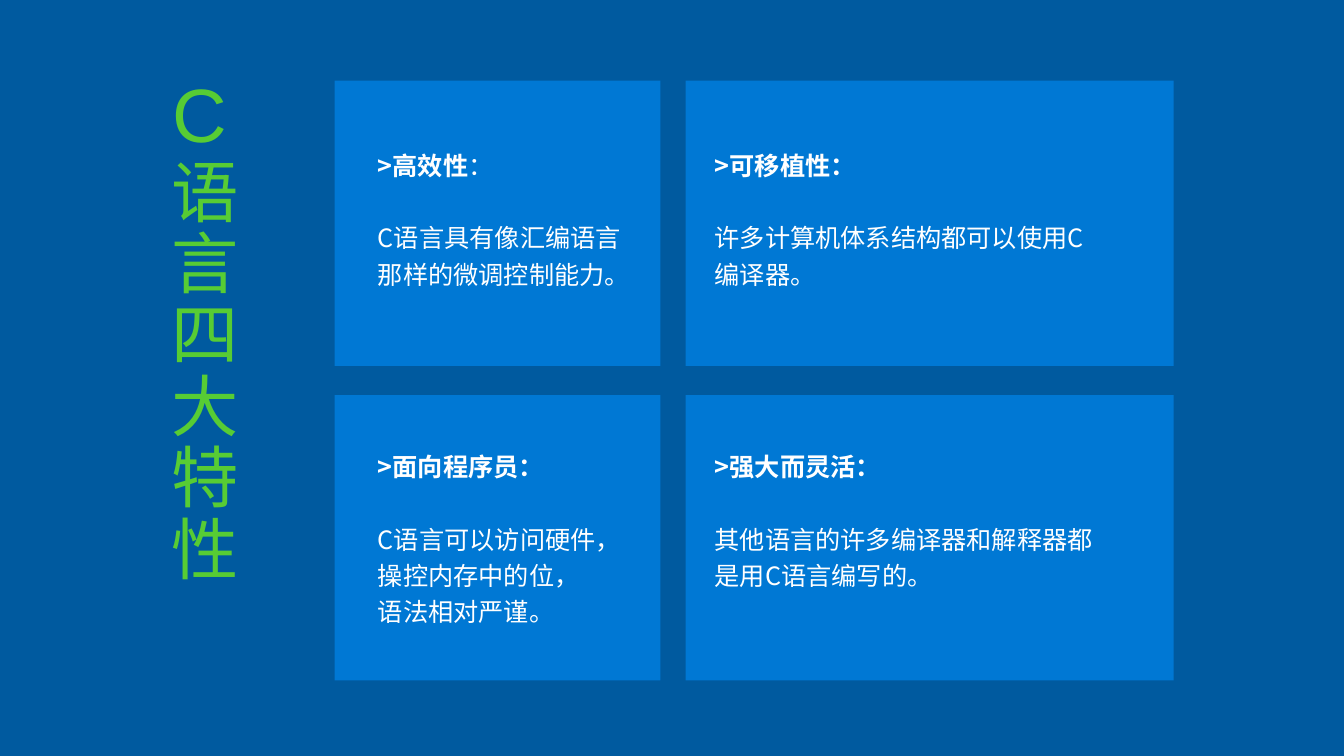
from dataclasses import dataclass

from pptx import Presentation
from pptx.dml.color import RGBColor
from pptx.enum.shapes import MSO_SHAPE
from pptx.enum.text import MSO_AUTO_SIZE
from pptx.oxml.ns import qn
from pptx.slide import Slide
from pptx.text.text import TextFrame, _Run
from pptx.util import Inches, Pt


@dataclass(frozen=True)
class Theme:
    background: RGBColor = RGBColor(0x00, 0x5A, 0x9F)
    card: RGBColor = RGBColor(0x00, 0x78, 0xD4)
    title: RGBColor = RGBColor(0x57, 0xCC, 0x34)
    text: RGBColor = RGBColor(0xFF, 0xFF, 0xFF)
    title_font: str = "Arial"
    text_font: str = "Noto Sans CJK SC"
    letter_size: int = 54
    title_size: int = 48
    text_size: int = 18
    line_spacing: float = 1.2
    body_gap: float = 25.9


@dataclass(frozen=True)
class Column:
    left: float
    width: float
    text_left: float
    text_width: float


@dataclass(frozen=True)
class Row:
    top: float
    text_top: float


@dataclass(frozen=True)
class Feature:
    column: Column
    row: Row
    heading: str
    body: tuple[str, ...]
    colon_bold: bool = True


THEME = Theme()
CARD_HEIGHT = 2.83
LEFT = Column(3.32, 3.23, 3.65, 2.64)
RIGHT = Column(6.8, 4.84, 6.99, 4.02)
UPPER = Row(0.8, 1.38)
LOWER = Row(3.92, 4.37)

FEATURES = [
    Feature(LEFT, UPPER, ">高效性", ("C语言具有像汇编语言那样的微调控制能力。",), False),
    Feature(RIGHT, UPPER, ">可移植性", ("许多计算机体系结构都可以使用C编译器。",)),
    Feature(LEFT, LOWER, ">面向程序员",
            ("C语言可以访问硬件，操控内存中的位，", "语法相对严谨。")),
    Feature(RIGHT, LOWER, ">强大而灵活",
            ("其他语言的许多编译器和解释器都是用C语言编写的。",)),
]


def style_run(run: _Run, size: int, color: RGBColor, font_name: str, bold: bool = False) -> None:
    run.font.size = Pt(size)
    run.font.bold = bold
    run.font.color.rgb = color
    run.font.name = font_name
    # East Asian characters need their own typeface element
    east_asian = run.font._element.makeelement(qn("a:ea"), {"typeface": THEME.text_font})
    run.font._element.find(qn("a:latin")).addnext(east_asian)


def add_text_frame(slide: Slide, left: float, top: float, width: float, height: float) -> TextFrame:
    box = slide.shapes.add_textbox(Inches(left), Inches(top), Inches(width), Inches(height))
    box.text_frame.word_wrap = True
    box.text_frame.auto_size = MSO_AUTO_SIZE.SHAPE_TO_FIT_TEXT
    return box.text_frame


def add_title(slide: Slide) -> None:
    # Vertical part of the title
    text_frame = add_text_frame(slide, 1.45, 1.47, 1.01, 4.54)
    text_frame._txBody.bodyPr.set("vert", "eaVert")
    text_frame.text = "语言四大特性"
    run = text_frame.paragraphs[0].runs[0]
    style_run(run, THEME.title_size, THEME.title, THEME.title_font)
    run.font._element.set("spc", "300")

    # Upright letter above it
    text_frame = add_text_frame(slide, 1.61, 0.61, 0.78, 1.01)
    text_frame.text = "C"
    style_run(text_frame.paragraphs[0].runs[0], THEME.letter_size, THEME.title, THEME.title_font)


def add_feature(slide: Slide, feature: Feature) -> None:
    column, row = feature.column, feature.row

    # Card
    card = slide.shapes.add_shape(
        MSO_SHAPE.RECTANGLE, Inches(column.left), Inches(row.top),
        Inches(column.width), Inches(CARD_HEIGHT))
    card.shadow.inherit = False
    card.fill.solid()
    card.fill.fore_color.rgb = THEME.card
    card.line.fill.background()

    # Heading and body
    line_count = len(feature.body) + 3
    text_frame = add_text_frame(slide, column.text_left, row.text_top,
                                column.text_width, 0.1 + 0.36 * line_count)
    heading = text_frame.paragraphs[0]
    heading.line_spacing = THEME.line_spacing
    for text, bold in ((feature.heading, True), ("：", feature.colon_bold)):
        run = heading.add_run()
        run.text = text
        style_run(run, THEME.text_size, THEME.text, THEME.text_font, bold)
    for index, text in enumerate(feature.body):
        paragraph = text_frame.add_paragraph()
        paragraph.text = text
        paragraph.line_spacing = THEME.line_spacing
        paragraph.space_before = Pt(THEME.body_gap if index == 0 else 0)
        style_run(paragraph.runs[0], THEME.text_size, THEME.text, THEME.text_font)


def main() -> None:
    presentation = Presentation()
    presentation.slide_width = Inches(13.33)
    presentation.slide_height = Inches(7.5)
    slide = presentation.slides.add_slide(presentation.slide_layouts[6])
    slide.background.fill.solid()
    slide.background.fill.fore_color.rgb = THEME.background

    for feature in FEATURES:
        add_feature(slide, feature)
    add_title(slide)
    presentation.save("out.pptx")


if __name__ == "__main__":
    main()
